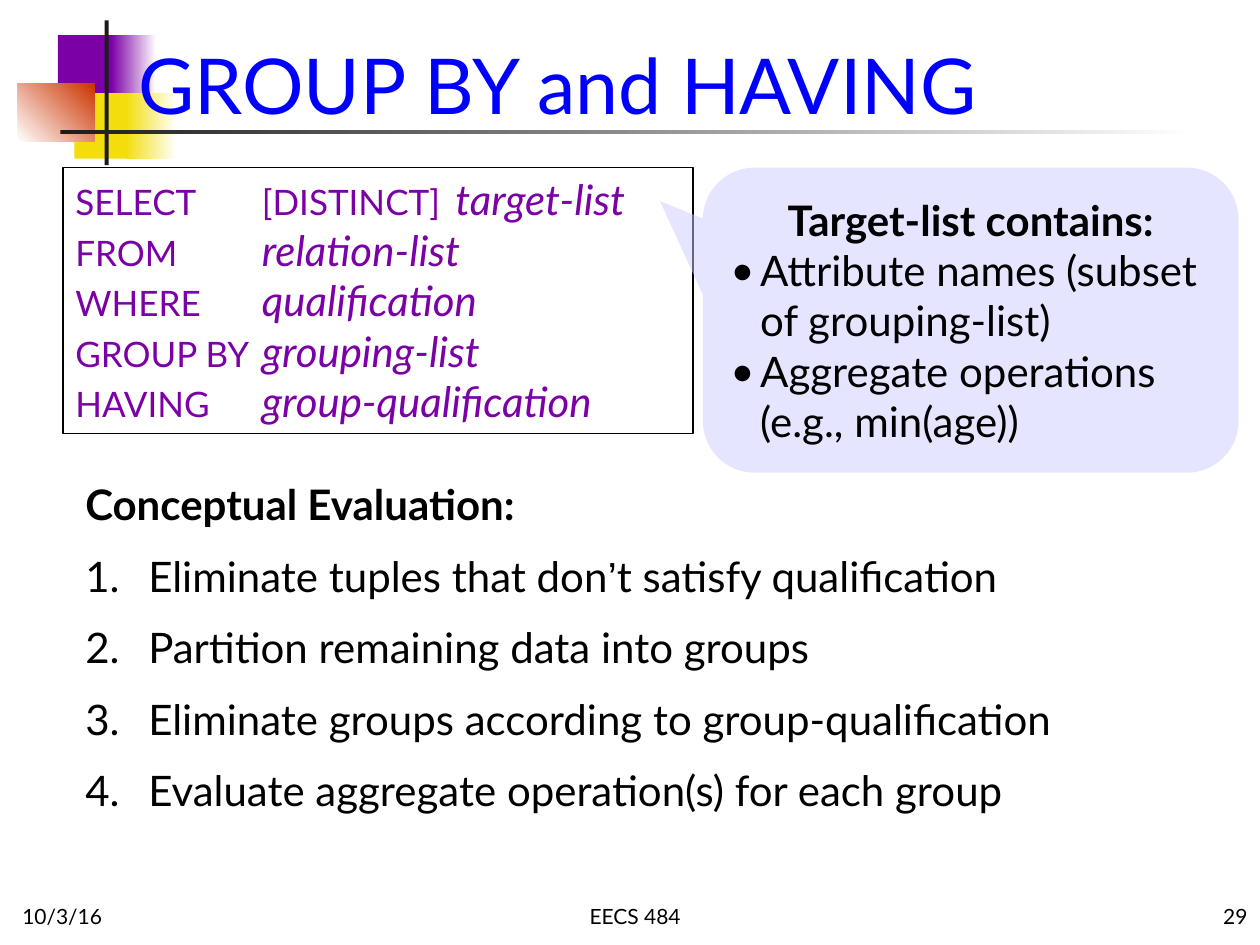
from dataclasses import dataclass

from lxml import etree
from pptx import Presentation
from pptx import util as u
from pptx.dml.color import RGBColor
from pptx.enum import shapes, text
from pptx.oxml.ns import qn


@dataclass(frozen=True)
class Theme:
    font: str = "Lato"
    quote_font: str = "Arial"
    purple: str = "7B00A6"
    yellow: str = "F3DD0D"
    red: str = "CC3300"
    blue: str = "0000FF"
    lavender: str = "CCCCFF"
    dark: str = "1C1C1C"
    black: str = "000000"
    white: str = "FFFFFF"
    title_size: int = 44
    body_size: int = 24
    keyword_size: int = 20
    footer_size: int = 12


THEME = Theme()

# Keyword, words between keyword and clause, clause
QUERY = [
    ("SELECT", "[DISTINCT]", "target-list"),
    ("FROM", "", "relation-list"),
    ("WHERE", "", "qualification"),
    ("GROUP BY", "", "grouping-list"),
    ("HAVING", "", "group-qualification"),
]
STEPS = [
    "Eliminate tuples that don’t satisfy qualification",
    "Partition remaining data into groups",
    "Eliminate groups according to group-qualification",
    "Evaluate aggregate operation(s) for each group",
]
CONTENTS = [
    "Attribute names (subset of grouping-list)",
    "Aggregate operations (e.g., min(age))",
]


def rgb(colour):
    return RGBColor.from_string(colour)


def add_block(slide, box, colours, angle=0, kind=shapes.MSO_SHAPE.RECTANGLE):
    """Borderless shape: no fill, one colour, or a gradient of two."""
    shape = slide.shapes.add_shape(kind, *map(u.Cm, box))
    shape.shadow.inherit = False
    shape.line.fill.background()
    if not colours:
        shape.fill.background()
    elif len(colours) == 1:
        shape.fill.solid()
        shape.fill.fore_color.rgb = rgb(colours[0])
    else:
        shape.fill.gradient()
        shape.fill.gradient_angle = angle
        for stop, colour in zip(shape.fill.gradient_stops, colours):
            stop.color.rgb = rgb(colour)
    return shape


def add_text_box(slide, box, anchor=text.MSO_ANCHOR.TOP):
    frame = slide.shapes.add_textbox(*map(u.Cm, box)).text_frame
    frame.word_wrap = True
    frame.vertical_anchor = anchor
    return frame


def add_paragraph(frame, words="", size=THEME.body_size, colour=THEME.black,
                  align=text.PP_ALIGN.LEFT, bold=False):
    first = frame.paragraphs[0]
    paragraph = frame.add_paragraph() if first.runs else first
    paragraph.alignment = align
    font = paragraph.font
    font.name, font.size, font.bold = THEME.font, u.Pt(size), bold
    font.color.rgb = rgb(colour)
    # The typographic apostrophe has its own font
    for index, part in enumerate(words.split("’")):
        if index:
            quote = paragraph.add_run()
            quote.text = "’"
            quote.font.name = THEME.quote_font
        if part:
            paragraph.add_run().text = part
    return paragraph


def insert_before_font(paragraph, tag):
    """Add a child to the paragraph properties, ahead of its font."""
    properties = paragraph._p.get_or_add_pPr()
    child = etree.Element(qn(tag))
    properties.find(qn("a:defRPr")).addprevious(child)
    return child


def set_bullet(paragraph, indent, tag, **attributes):
    properties = paragraph._p.get_or_add_pPr()
    properties.set("marL", str(u.Cm(indent)))
    properties.set("indent", str(-u.Cm(indent)))
    bullet_font = insert_before_font(paragraph, "a:buFont")
    bullet_font.set("typeface", THEME.font)
    bullet = insert_before_font(paragraph, tag)
    for name, value in attributes.items():
        bullet.set(name, value)


def set_tabs(paragraph, *positions):
    tabs = insert_before_font(paragraph, "a:tabLst")
    for position in positions:
        etree.SubElement(tabs, qn("a:tab"), pos=str(u.Cm(position)), algn="l")


def add_decoration(slide):
    add_block(slide, (1.17, 0.71, 1.22, 1.32), [THEME.purple])
    add_block(slide, (2.24, 0.71, 0.91, 1.32), [THEME.purple, THEME.white])
    add_block(slide, (1.5, 1.88, 1.17, 1.32), [THEME.yellow])
    add_block(slide, (2.54, 1.88, 1.02, 1.32), [THEME.yellow, THEME.white])
    add_block(slide, (0.36, 1.68, 1.55, 1.17), [THEME.white, THEME.red], 45)
    add_block(slide, (2.11, 0.41, 0.08, 2.92), [THEME.dark])
    add_block(slide, (1.22, 2.62, 22.86, 0.08), [THEME.dark, THEME.white])


def add_query(slide):
    shape = add_block(slide, (1.27, 3.38, 12.7, 5.36), [])
    shape.line.color.rgb = rgb(THEME.black)
    shape.line.width = u.Pt(1)
    frame = shape.text_frame
    frame.word_wrap = True
    frame.vertical_anchor = text.MSO_ANCHOR.TOP
    for keyword, middle, clause in QUERY:
        paragraph = add_paragraph(frame, colour=THEME.purple)
        set_tabs(paragraph, 3.76, 7.66)
        start = paragraph.add_run()
        start.text = f"{keyword}\t{middle}\t" if middle else f"{keyword}\t"
        start.font.size = u.Pt(THEME.keyword_size)
        end = paragraph.add_run()
        end.text = clause
        end.font.italic = True


def add_evaluation(slide):
    frame = add_text_box(slide, (1.47, 9.53, 22.02, 7.37))
    add_paragraph(frame, "Conceptual Evaluation:", bold=True)
    for step in STEPS:
        paragraph = add_paragraph(frame, step)
        paragraph.space_before = u.Pt(THEME.body_size / 2)
        set_bullet(paragraph, 1.27, "a:buAutoNum", type="arabicPeriod")


def add_callout(slide):
    callout = add_block(slide, (14.17, 3.38, 10.8, 6.15), [THEME.lavender],
                        kind=shapes.MSO_SHAPE.ROUNDED_RECTANGULAR_CALLOUT)
    callout.adjustments[0] = -0.58
    callout.adjustments[1] = -0.39
    callout.adjustments[2] = 0.17
    colour = callout.fill._xPr.find(".//" + qn("a:srgbClr"))
    etree.SubElement(colour, qn("a:alpha"), val="50000")
    frame = callout.text_frame
    frame.word_wrap = True
    frame.vertical_anchor = text.MSO_ANCHOR.MIDDLE
    add_paragraph(frame, "Target-list contains:", bold=True,
                  align=text.PP_ALIGN.CENTER)
    for content in CONTENTS:
        set_bullet(add_paragraph(frame, content), 0.6, "a:buChar", char="•")


def add_footer(slide):
    align = text.PP_ALIGN
    for left, width, words, side in [(0.2, 5.28, "10/3/16", align.LEFT),
                                     (5.92, 13.77, "EECS 484", align.CENTER),
                                     (20.12, 5.28, "29", align.RIGHT)]:
        frame = add_text_box(slide, (left, 17.58, width, 1.27), text.MSO_ANCHOR.BOTTOM)
        add_paragraph(frame, words, THEME.footer_size, align=side)


def main():
    presentation = Presentation()
    presentation.slide_width, presentation.slide_height = u.Cm(25.4), u.Cm(19.05)
    slide = presentation.slides.add_slide(presentation.slide_layouts[6])
    add_decoration(slide)
    add_footer(slide)
    title = add_text_box(slide, (2.54, -0.43, 22.43, 3.18), text.MSO_ANCHOR.BOTTOM)
    add_paragraph(title, "GROUP BY and HAVING", THEME.title_size, THEME.blue)
    add_query(slide)
    add_evaluation(slide)
    add_callout(slide)
    presentation.save("out.pptx")


if __name__ == "__main__":
    main()
